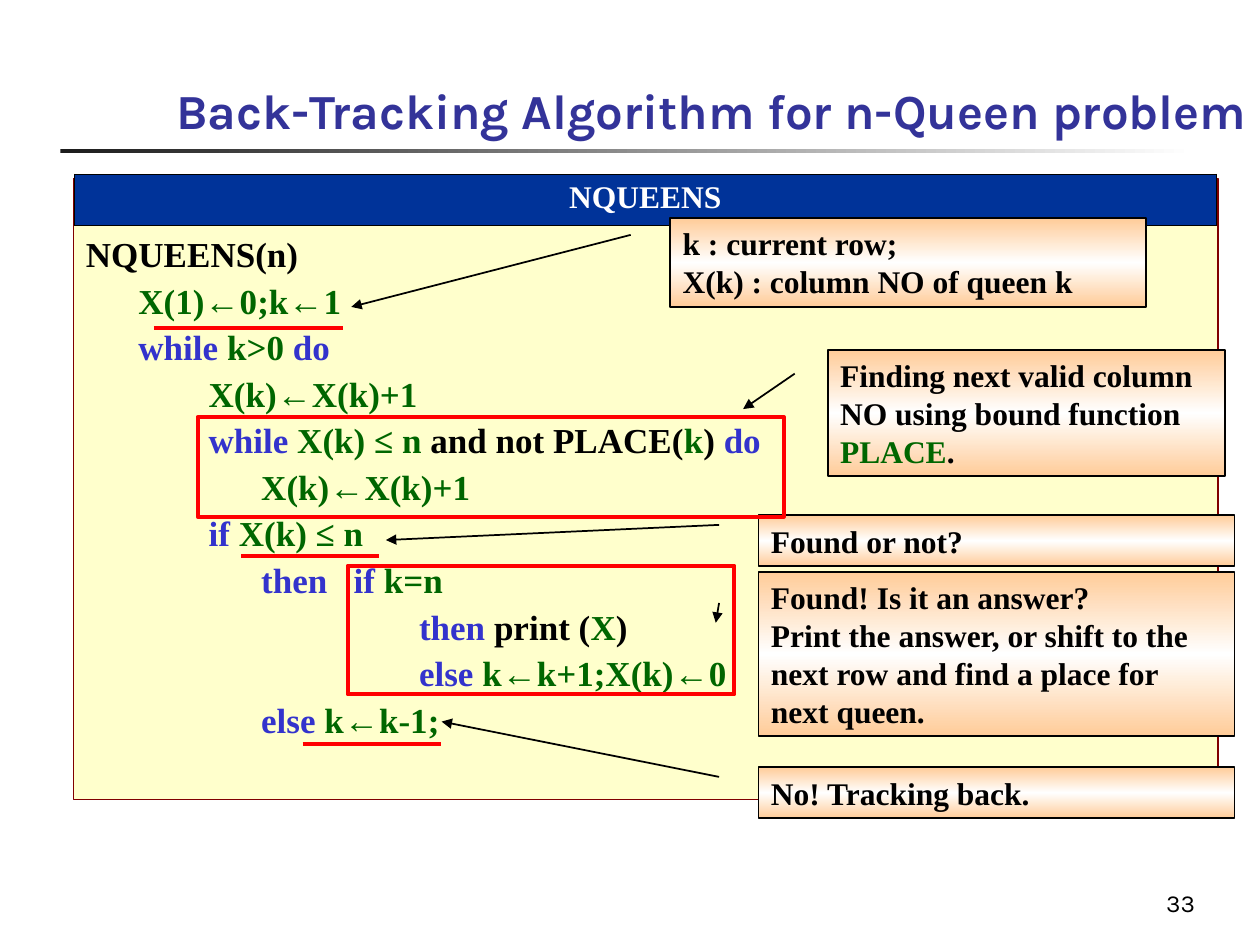
import pptx
import pptx.dml.color
import pptx.enum.shapes
import pptx.enum.text
import pptx.oxml.ns
import pptx.util
from lxml import etree

Pt = pptx.util.Pt
RGBColor = pptx.dml.color.RGBColor
SHAPE = pptx.enum.shapes.MSO_SHAPE
ALIGN = pptx.enum.text.PP_ALIGN
ANCHOR = pptx.enum.text.MSO_ANCHOR
qn = pptx.oxml.ns.qn

BLACK = RGBColor(0x00, 0x00, 0x00)
WHITE = RGBColor(0xFF, 0xFF, 0xFF)
CHARCOAL = RGBColor(0x1C, 0x1C, 0x1C)
TITLE_BLUE = RGBColor(0x33, 0x33, 0x99)
HEADER_BLUE = RGBColor(0x00, 0x33, 0x99)
KEYWORD_BLUE = RGBColor(0x33, 0x33, 0xCC)
VALUE_GREEN = RGBColor(0x00, 0x66, 0x00)
CREAM = RGBColor(0xFF, 0xFF, 0xCC)
MAROON = RGBColor(0x80, 0x00, 0x00)
PEACH = RGBColor(0xFF, 0xCC, 0x99)
RED = RGBColor(0xFF, 0x00, 0x00)

SERIF, SANS, ARROW_FONT = "Times New Roman", "Karla", "Arial"

# Each line: leading spaces, then (text, colour) runs.
CODE = [
    (0, [("NQUEENS(n)", BLACK)]),
    (6, [("X(1)←0;k←1", VALUE_GREEN)]),
    (6, [("while ", KEYWORD_BLUE), ("k>0 ", VALUE_GREEN), ("do", KEYWORD_BLUE)]),
    (14, [("X(k)←X(k)+1", VALUE_GREEN)]),
    (14, [("while ", KEYWORD_BLUE), ("X(k) ≤ n", VALUE_GREEN),
          (" and not PLACE(", BLACK), ("k", VALUE_GREEN), (") ", BLACK),
          ("do", KEYWORD_BLUE)]),
    (20, [("X(k)←X(k)+1", VALUE_GREEN)]),
    (14, [("if ", KEYWORD_BLUE), ("X(k) ≤ n", VALUE_GREEN)]),
    (20, [("then   if ", KEYWORD_BLUE), ("k=n", VALUE_GREEN)]),
    (38, [("then", KEYWORD_BLUE), (" print (", BLACK), ("X", VALUE_GREEN),
          (")", BLACK)]),
    (38, [("else ", KEYWORD_BLUE), ("k←k+1;X(k)←0", VALUE_GREEN)]),
    (20, [("else", KEYWORD_BLUE), (" k←k-1;", VALUE_GREEN)]),
]

# Each callout: left, top, width, height, pointer tip (y, x as shares of the box), paragraphs.
CALLOUTS = [
    (383, 124.75, 272, 50.5, (1.003, -0.67),
     [[("k : current row;", BLACK)], [("X(k) : column NO of queen k", BLACK)]]),
    (473, 200, 227, 72, (0.469, -0.213),
     [[("Finding next valid column NO using bound function ", BLACK),
       ("PLACE", VALUE_GREEN), (".", BLACK)]]),
    (433.5, 327, 272, 93.5, (0.309, -0.09),
     [[("Found! Is it an answer?", BLACK)],
      [("Print the answer, or shift to the next row and find a place for "
        "next queen.", BLACK)]]),
    (433.5, 294.5, 272, 29, (0.487, -0.783), [[("Found or not?", BLACK)]]),
    (433.5, 438.5, 272, 29, (-0.903, -0.666), [[("No! Tracking back.", BLACK)]]),
]

FRAMES = [(113, 238.25, 335, 57), (198.75, 323.25, 221, 73.5)]
UNDERLINES = [(88, 187.25, 108), (137.75, 317.75, 79), (173, 425.25, 79)]


def add_run(para, text, size, colour, font=SERIF, bold=True):
    span = para.add_run()
    span.text = text
    span.font.name = font
    span.font.size = Pt(size)
    span.font.bold = bold
    span.font.color.rgb = colour


def add_code_run(para, text, colour):
    """Add text, with each assignment arrow as a run in its own font."""
    for index, part in enumerate(text.split("←")):
        if index:
            add_run(para, "←", 20, colour, ARROW_FONT)
        if part:
            add_run(para, part, 20, colour)


def next_paragraph(frame, index):
    para = frame.add_paragraph() if index else frame.paragraphs[0]
    para.alignment = ALIGN.LEFT
    return para


def set_gradient(shape, stops, angle):
    """Fill with (percent, colour) stops; the angle runs clockwise in degrees."""
    shape.fill.gradient()
    gradient = shape._element.spPr.find(qn("a:gradFill"))
    for child in list(gradient):
        gradient.remove(child)
    stop_list = etree.SubElement(gradient, qn("a:gsLst"))
    for percent, colour in stops:
        stop = etree.SubElement(stop_list, qn("a:gs"), pos=str(percent * 1000))
        etree.SubElement(stop, qn("a:srgbClr"), val=str(colour))
    etree.SubElement(gradient, qn("a:lin"), ang=str(angle * 60000), scaled="0")


def add_box(slide, kind, left, top, width, height, line=None, weight=1):
    box = slide.shapes.add_shape(kind, Pt(left), Pt(top), Pt(width), Pt(height))
    box.shadow.inherit = False
    box.fill.background()
    if line is None:
        box.line.fill.background()
    else:
        box.line.color.rgb = line
        box.line.width = Pt(weight)
    return box


def add_title(slide, text):
    title = slide.shapes.title
    title.left, title.top, title.width, title.height = Pt(93.5), Pt(12), Pt(626.5), Pt(71.5)
    frame = title.text_frame
    frame.vertical_anchor = ANCHOR.BOTTOM
    frame.margin_right = 0
    add_run(next_paragraph(frame, 0), text, 28, TITLE_BLUE, SANS)


def add_code_panel(slide):
    panel = add_box(slide, SHAPE.RECTANGLE, 42, 102, 654, 355, MAROON, 0.75)
    panel.fill.solid()
    panel.fill.fore_color.rgb = CREAM
    frame = panel.text_frame
    frame.vertical_anchor = ANCHOR.MIDDLE
    for index, (indent, spans) in enumerate(CODE):
        para = next_paragraph(frame, index)
        para.line_spacing = 0.9
        if index:
            para.space_before = Pt(5)
        if indent:
            add_run(para, " " * indent, 20, BLACK)
        for text, colour in spans:
            add_code_run(para, text, colour)


def add_header_table(slide, text):
    table = slide.shapes.add_table(1, 1, Pt(42.5), Pt(99.5), Pt(652.5), Pt(29)).table
    cell = table.cell(0, 0)
    para = cell.text_frame.paragraphs[0]
    para.alignment = ALIGN.CENTER
    add_run(para, text, 18, WHITE)
    properties = cell._tc.get_or_add_tcPr()
    for side in ("a:lnL", "a:lnR", "a:lnT", "a:lnB"):
        border = etree.SubElement(properties, qn(side), w=str(Pt(0.45)))
        fill = etree.SubElement(border, qn("a:solidFill"))
        etree.SubElement(fill, qn("a:srgbClr"), val=str(BLACK))
    cell.fill.solid()
    cell.fill.fore_color.rgb = HEADER_BLUE


def add_callout(slide, left, top, width, height, tip, paragraphs):
    box = add_box(slide, SHAPE.LINE_CALLOUT_1, left, top, width, height, BLACK)
    for index, value in enumerate((0.188, -0.083, *tip)):
        box.adjustments[index] = value
    set_gradient(box, [(0, PEACH), (50, WHITE), (100, PEACH)], 90)
    etree.SubElement(box.line._get_or_add_ln(), qn("a:tailEnd"), type="triangle")
    frame = box.text_frame
    frame.word_wrap = True
    frame.vertical_anchor = ANCHOR.TOP
    for index, spans in enumerate(paragraphs):
        para = next_paragraph(frame, index)
        for text, colour in spans:
            add_run(para, text, 18, colour)


def add_underline(slide, left, top, width):
    line = slide.shapes.add_connector(
        pptx.enum.shapes.MSO_CONNECTOR.STRAIGHT,
        Pt(left), Pt(top), Pt(left + width), Pt(top))
    line.line.color.rgb = RED
    line.line.width = Pt(2.25)
    etree.SubElement(line._element.spPr, qn("a:effectLst"))


def add_page_number(slide, text):
    box = slide.shapes.add_textbox(Pt(540), Pt(492), Pt(150), Pt(36))
    frame = box.text_frame
    frame.word_wrap = True
    frame.vertical_anchor = ANCHOR.BOTTOM
    para = frame.paragraphs[0]
    para.alignment = ALIGN.RIGHT
    add_run(para, text, 14, BLACK, SANS, bold=False)


def main():
    deck = pptx.Presentation()
    deck.slide_width, deck.slide_height = Pt(720), Pt(540)
    slide = deck.slides.add_slide(deck.slide_layouts[5])
    rule = add_box(slide, SHAPE.RECTANGLE, 34.5, 85, 648, 2.25)
    set_gradient(rule, [(0, CHARCOAL), (100, WHITE)], 0)
    add_title(slide, "Back-Tracking Algorithm for n-Queen problem")
    add_code_panel(slide)
    add_header_table(slide, "NQUEENS")
    for callout in CALLOUTS:
        add_callout(slide, *callout)
    for frame in FRAMES:
        add_box(slide, SHAPE.RECTANGLE, *frame, RED, 2.25)
    for underline in UNDERLINES:
        add_underline(slide, *underline)
    add_page_number(slide, "33")
    deck.save("out.pptx")


if __name__ == "__main__":
    main()
